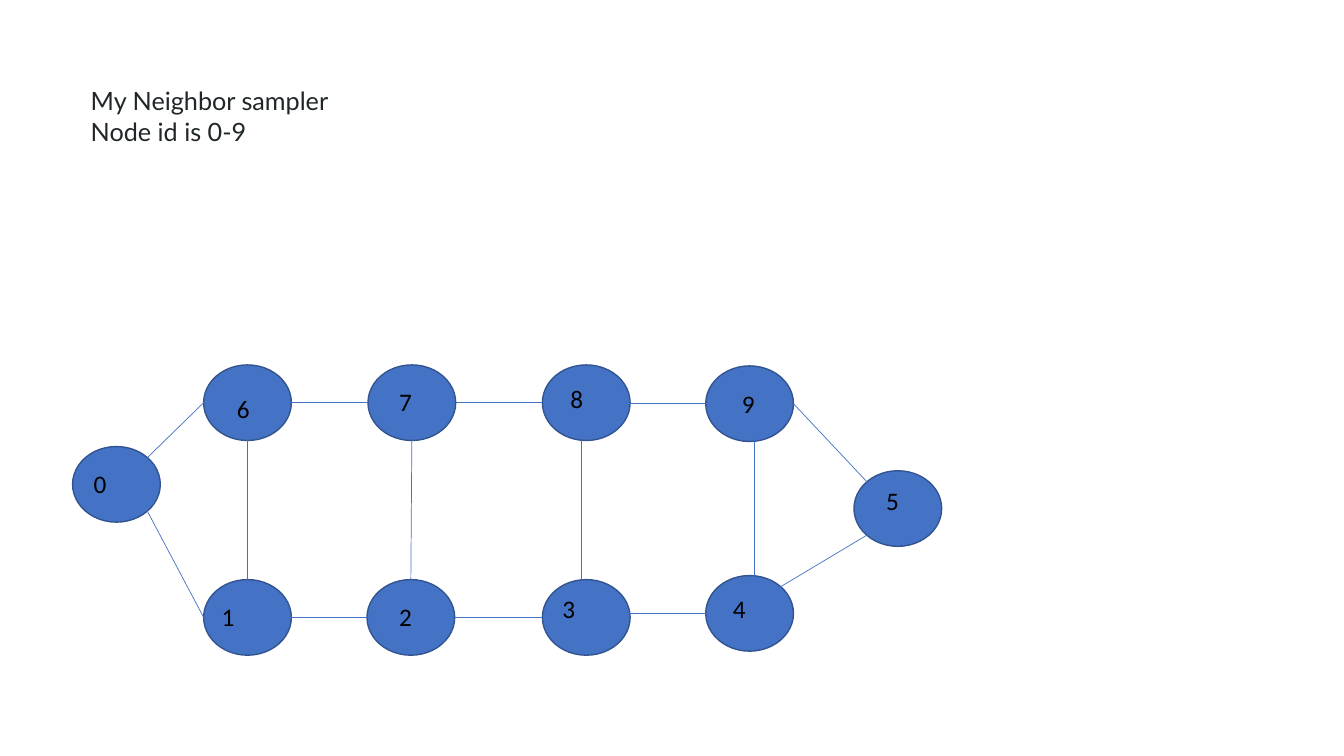
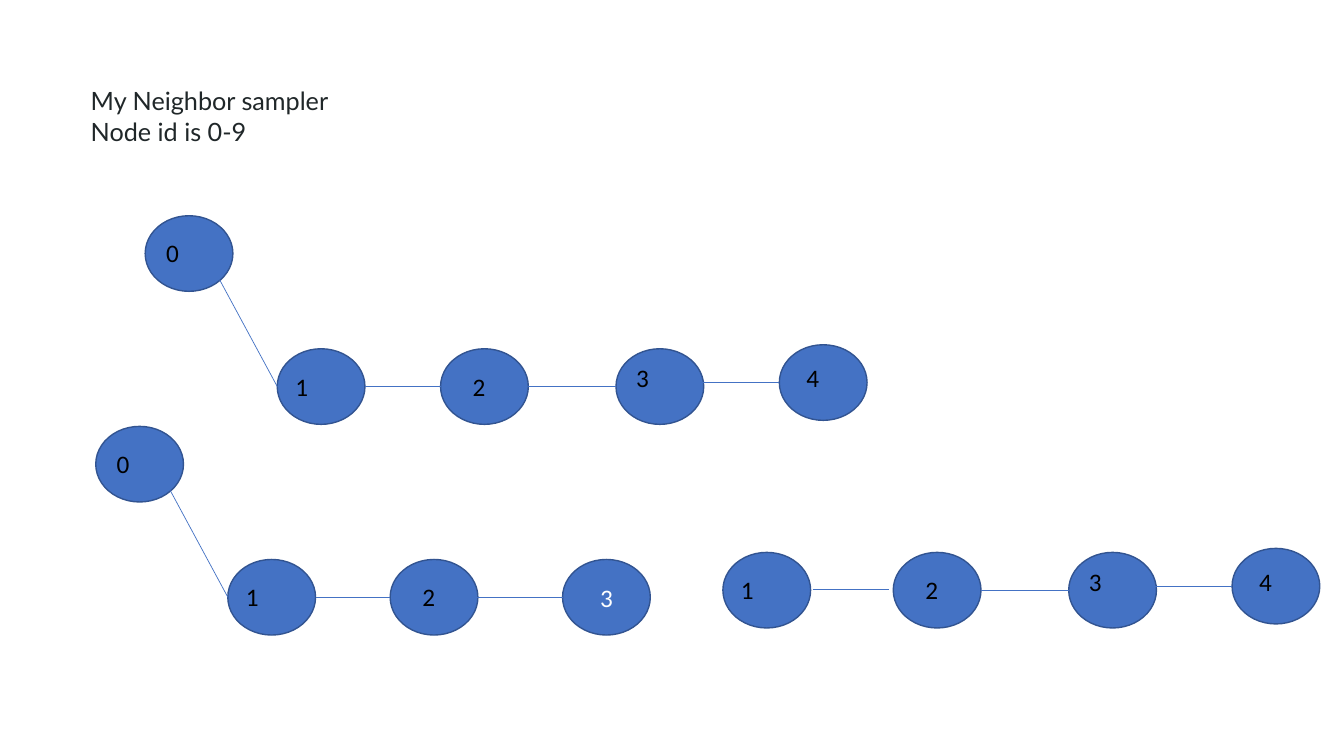
from pptx import Presentation
from pptx.dml.color import RGBColor
from pptx.enum.shapes import MSO_CONNECTOR, MSO_SHAPE
from pptx.enum.text import MSO_ANCHOR, MSO_AUTO_SIZE, PP_ALIGN
from pptx.oxml.ns import qn
from pptx.util import Emu, Pt
from lxml import etree

OVAL = MSO_SHAPE.OVAL
STRAIGHT = MSO_CONNECTOR.STRAIGHT
TOP, MIDDLE = MSO_ANCHOR.TOP, MSO_ANCHOR.MIDDLE
LEFT, CENTER = PP_ALIGN.LEFT, PP_ALIGN.CENTER
GROW = MSO_AUTO_SIZE.SHAPE_TO_FIT_TEXT
TITLE_ONLY = 5

PX = 9144  # 100 px to the inch
NODE_W, NODE_H = 87, 75
LABEL_H = 40

# Where a link meets a node, as shares of the node's width and height
SITES = {
    "top": (0.5, 0), "bottom": (0.5, 1), "left": (0, 0.5), "right": (1, 0.5),
    "top left": (0.15, 0.15), "top right": (0.85, 0.15),
    "bottom left": (0.15, 0.85), "bottom right": (0.85, 0.85),
}

# Label of each node id: offset from the node's corner, and width
LABELS = {
    0: (11, 17, 43), 1: (8, 17, 99), 2: (22, 17, 75), 3: (10, 9, 99),
    4: (17, 13, 40), 5: (22, 10, 43), 6: (23, 23, 42), 7: (21, 16, 35),
    8: (18, 13, 99), 9: (26, 17, 48),
}


def px(n):
    return Emu(round(n * PX))


def rgb(value):
    return RGBColor.from_string(value)


def site(node, name):
    """Point on the outline of the node whose corner is given."""
    fx, fy = SITES[name]
    return node[0] + fx * NODE_W, node[1] + fy * NODE_H


class Deck:
    NODE, EDGE, LINK = "4472C4", "325491", "4472C4"
    TITLE = {"name": "Lato", "size": Pt(18), "bold": False, "color": "202729"}
    LABEL = {"name": "Calibri", "size": Pt(18), "color": "000000"}
    INSIDE = {**LABEL, "color": "FFFFFF"}

    def __init__(self):
        self.prs = Presentation()
        self.prs.slide_width, self.prs.slide_height = px(1333), px(750)

    def slide(self, title):
        self.s = self.prs.slides.add_slide(self.prs.slide_layouts[TITLE_ONLY])
        sp = self.s.shapes.title
        box = {"left": 80, "top": 80, "width": 303, "height": 71}
        for name, value in box.items():
            setattr(sp, name, px(value))
        self.text(sp, title, self.TITLE, auto_size=GROW)

    def text(self, sp, words, font, align=LEFT, **frame):
        tf = sp.text_frame
        tf.text = words
        for name, value in {"word_wrap": True, "vertical_anchor": TOP, **frame}.items():
            setattr(tf, name, value)
        for p in tf.paragraphs:
            p.alignment, p.line_spacing = align, 1.0
            for r in p.runs:
                for name, value in font.items():
                    if name == "color":
                        r.font.color.rgb = rgb(value)
                    else:
                        setattr(r.font, name, value)

    def node(self, at):
        sp = self.s.shapes.add_shape(OVAL, *map(px, (*at, NODE_W, NODE_H)))
        sp.shadow.inherit = False
        sp.fill.solid()
        sp.fill.fore_color.rgb = rgb(self.NODE)
        sp.line.color.rgb = rgb(self.EDGE)
        sp.line.width = Pt(1)
        return sp

    def nodes(self, places):
        """Draw nodes, each with its id in a text box on top."""
        for i, (x, y) in places.items():
            self.node((x, y))
            dx, dy, w = LABELS[i]
            sp = self.s.shapes.add_textbox(*map(px, (x + dx, y + dy, w, LABEL_H)))
            self.text(sp, str(i), self.LABEL, auto_size=GROW)

    def line(self, start, end):
        c = self.s.shapes.add_connector(STRAIGHT, *map(px, (*start, *end)))
        c.line.color.rgb = rgb(self.LINK)
        c.line.width = Pt(0.5)
        etree.SubElement(c._element.spPr, qn("a:effectLst"))

    def link(self, a, b, leave="right", enter="left"):
        self.line(site(a, leave), site(b, enter))

    def lead_in(self, node):
        """Level line, one node wide, that ends at the node's left side."""
        x, y = site(node, "left")
        self.line((x - NODE_W, y), (x, y))


def sampler_graph(deck):
    n = {
        0: (72, 443), 1: (202, 575), 2: (364, 575), 3: (538, 575), 4: (700, 571),
        5: (847, 467), 6: (202, 362), 7: (365, 362), 8: (538, 362), 9: (700, 363),
    }
    deck.nodes(n)
    for a, b in ((1, 2), (2, 3), (6, 7), (7, 8)):
        deck.link(n[a], n[b])
    for i in (4, 9):
        deck.lead_in(n[i])
    for a, b in ((6, 1), (7, 2)):
        deck.link(n[a], n[b], "bottom", "top")
    for x in (577, 748):
        deck.line((x, 437), (x, 575))
    deck.link(n[0], n[6], leave="top right")
    deck.link(n[0], n[1], leave="bottom right")
    deck.link(n[9], n[5], enter="top left")
    deck.link(n[5], n[4], "bottom left", "top right")


def sampled_paths(deck):
    full = {0: (144, 214), 1: (275, 346), 2: (437, 346), 3: (611, 346), 4: (773, 342)}
    head = {0: (95, 423), 1: (226, 555), 2: (387, 555)}
    tail = {1: (717, 548), 2: (886, 548), 3: (1060, 548), 4: (1222, 544)}
    last = (558, 555)
    for n in (full, head, tail):
        deck.nodes(n)
    deck.text(deck.node(last), "3", deck.INSIDE, CENTER, vertical_anchor=MIDDLE)

    for n in (full, head):
        deck.link(n[0], n[1], leave="bottom right")
        deck.link(n[1], n[2])
    for n in (full, tail):
        deck.link(n[2], n[3])
        deck.lead_in(n[4])
    deck.lead_in(last)
    deck.line((806, 585), (882, 585))


def main():
    deck = Deck()
    for draw in (sampler_graph, sampled_paths):
        deck.slide("My Neighbor sampler\nNode id is 0-9")
        draw(deck)
    deck.prs.save("out.pptx")


if __name__ == "__main__":
    main()
